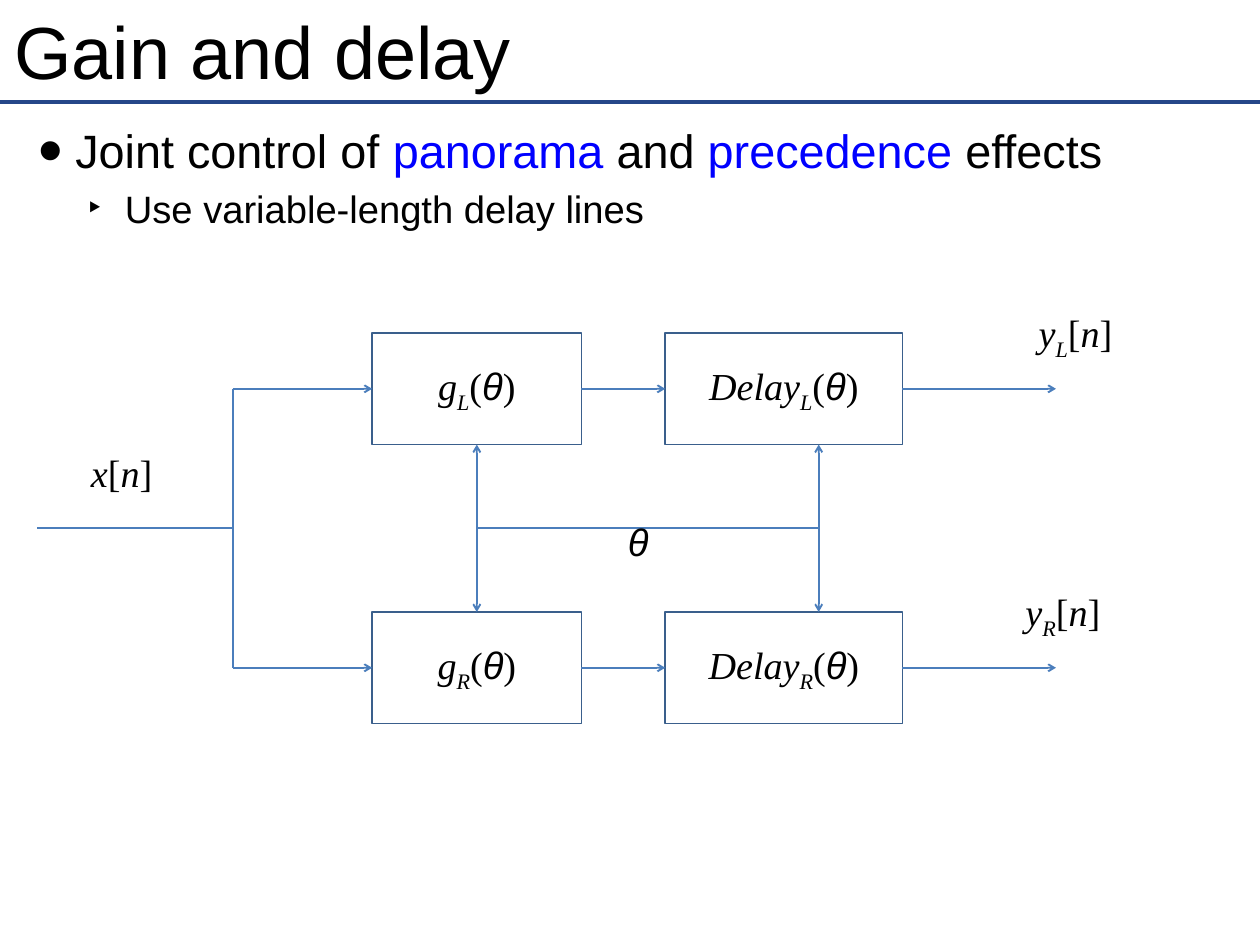
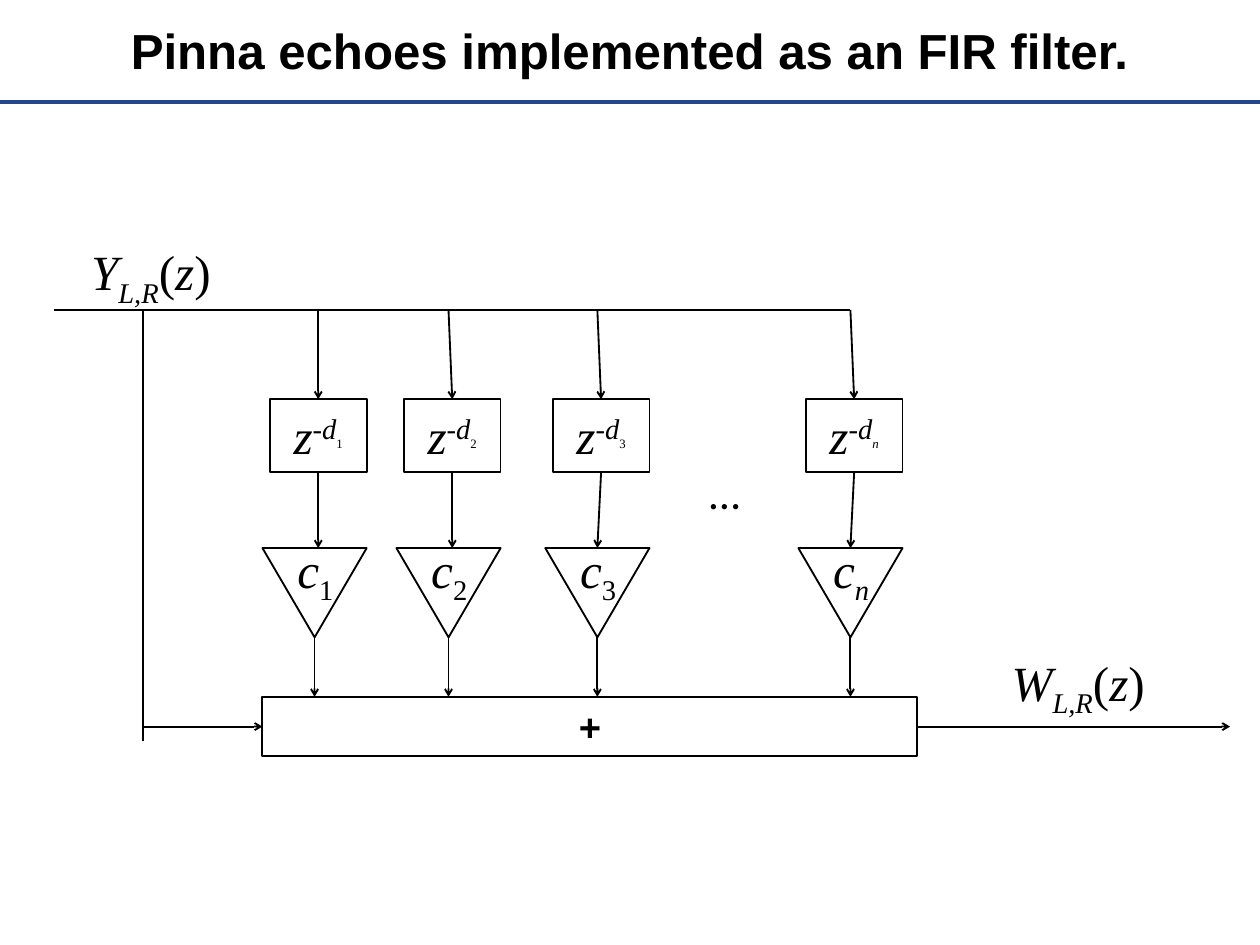
"""Build two slides of block diagrams: gain and delay, and an FIR filter of pinna echoes."""
import pptx
import pptx.dml.color
import pptx.enum.shapes
import pptx.enum.text
import pptx.oxml.ns
import pptx.util
from lxml import etree

Inches = pptx.util.Inches
Pt = pptx.util.Pt
RGBColor = pptx.dml.color.RGBColor
MSO_SHAPE = pptx.enum.shapes.MSO_SHAPE
PP_ALIGN = pptx.enum.text.PP_ALIGN
MSO_ANCHOR = pptx.enum.text.MSO_ANCHOR
MSO_AUTO_SIZE = pptx.enum.text.MSO_AUTO_SIZE
qn = pptx.oxml.ns.qn

BLACK = RGBColor(0x00, 0x00, 0x00)
BLUE = RGBColor(0x00, 0x00, 0xFF)
RULE_BLUE = RGBColor(0x25, 0x47, 0x89)
WIRE_BLUE = RGBColor(0x4B, 0x7E, 0xBC)
BLOCK_BLUE = RGBColor(0x3A, 0x5F, 0x8C)
SANS = "Arial"
SERIF = "Times New Roman"
BASELINES = {"_": "-25000", "^": "30000"}


def draw_line(slide, grid, start, end, color, arrows=(), width=1.5):
    """Draw a straight line between two grid points; arrows lists headEnd and tailEnd."""
    left, top, unit = grid
    line = slide.shapes.add_connector(
        pptx.enum.shapes.MSO_CONNECTOR.STRAIGHT,
        Inches(left + start[0] * unit), Inches(top + start[1] * unit),
        Inches(left + end[0] * unit), Inches(top + end[1] * unit))
    line.line.color.rgb = color
    line.line.width = Pt(width)
    for arrow in arrows:
        etree.SubElement(line.line._get_or_add_ln(), qn("a:" + arrow)).set("type", "arrow")
    etree.SubElement(line.element.spPr, qn("a:effectLst"))
    return line


def draw_block(slide, grid, at, runs, size, inset, preset=None, color=BLACK,
               anchor=MSO_ANCHOR.TOP):
    """Draw an outlined shape or a text box; styles are i italic, b bold, s small, a sans, c Calibri, _ and ^."""
    left, top, unit = grid
    box = (Inches(left + at[0] * unit), Inches(top + at[1] * unit),
           Inches(at[2] * unit), Inches(at[3] * unit))
    if preset is None:
        shape = slide.shapes.add_textbox(*box)
    else:
        shape = slide.shapes.add_shape(preset, *box)
        shape.shadow.inherit = False
        shape.fill.background()
        shape.line.color.rgb = color
        shape.line.width = Pt(1.5)
    frame = shape.text_frame
    frame.vertical_anchor = anchor
    frame.margin_left = frame.margin_right = Inches(2 * inset)
    frame.margin_top = frame.margin_bottom = Inches(inset)
    paragraph = frame.paragraphs[0]
    paragraph.alignment = PP_ALIGN.CENTER
    for text, style in runs:
        run = paragraph.add_run()
        run.text = text
        run.font.name = SANS if "a" in style else "Calibri" if "c" in style else SERIF
        run.font.size = Pt(18 if "s" in style else size)
        run.font.italic = "i" in style
        run.font.bold = "b" in style
        run.font.color.rgb = BLACK
        for mark, baseline in BASELINES.items():
            if mark in style:
                run._r.get_or_add_rPr().set("baseline", baseline)
    return shape


presentation = pptx.Presentation()
presentation.slide_width = Inches(14.22)
presentation.slide_height = Inches(10.67)
master = presentation.slide_master

for placeholder, top, height in zip(master.placeholders, (0.06, 1.32), (1.01, 9.27)):
    placeholder.left, placeholder.top = Inches(0.1), Inches(top)
    placeholder.width, placeholder.height = Inches(14.01), Inches(height)
    frame = placeholder.text_frame
    frame.auto_size = MSO_AUTO_SIZE.NONE
    frame.margin_left = frame.margin_right = Inches(0.06)
    frame.margin_top = frame.margin_bottom = Inches(0.06)

gain_slide = presentation.slides.add_slide(presentation.slide_layouts[1])
echo_slide = presentation.slides.add_slide(presentation.slide_layouts[5])

rule = draw_line(gain_slide, (0, 1.15, 14.22), (0, 0), (1, 0), RULE_BLUE, width=3)
rule.element.nvCxnSpPr.cNvPr.id = 20
master.shapes.element.append(rule.element)

for slide, title, size, alignment, bold in (
        (gain_slide, "Gain and delay", 60, PP_ALIGN.LEFT, False),
        (echo_slide, "Pinna echoes implemented as an FIR filter.", 40, PP_ALIGN.CENTER, True)):
    frame = slide.shapes.title.text_frame
    frame.vertical_anchor = MSO_ANCHOR.MIDDLE
    paragraph = frame.paragraphs[0]
    paragraph.alignment = alignment
    run = paragraph.add_run()
    run.text = title
    run.font.name = SANS
    run.font.size = Pt(size)
    run.font.bold = bold
    run.font.color.rgb = BLACK

bullets = (
    (38, 0.69, "•", 150, 0, (("Joint control of ", BLACK), ("panorama", BLUE), (" and ", BLACK),
                             ("precedence", BLUE), (" effects", BLACK))),
    (31, 1.25, "‣", 100, 6, (("Use variable-length delay lines", BLACK),)),
)
body = gain_slide.placeholders[1].text_frame
for level, (size, indent, bullet, percent, space, runs) in enumerate(bullets):
    paragraph = body.add_paragraph() if level else body.paragraphs[0]
    paragraph.level = level
    properties = paragraph._p.get_or_add_pPr()
    properties.set("marL", str(Inches(indent)))
    properties.set("indent", str(Inches(-0.42)))
    etree.SubElement(properties, qn("a:buSzPct")).set("val", str(percent * 1000))
    etree.SubElement(properties, qn("a:buChar")).set("char", bullet)
    paragraph.space_before = Pt(space)
    for text, color in runs:
        run = paragraph.add_run()
        run.text = text
        run.font.name = SANS
        run.font.size = Pt(size)
        run.font.color.rgb = color

gain_grid = (0.42, 3.76, 0.63 / 4)
tail = ("tailEnd",)
both_ends = ("headEnd", "tailEnd")
gain_blocks = {}
for side, row, label_column in (("L", 0, 71), ("R", 20, 70.1)):
    middle = row + 4
    gain, delay = [
        draw_block(gain_slide, gain_grid, (column, row, width, 8),
                   ((name, "i"), (side, "i_"), ("(", ""), ("θ", "ia"), (")", "")),
                   31, 0.05, MSO_SHAPE.RECTANGLE, BLOCK_BLUE, MSO_ANCHOR.MIDDLE)
        for name, column, width in (("g", 24, 15), ("Delay", 45, 17))]
    gain_blocks[side] = gain
    for source, start, target, end in ((None, 14, gain, 24), (gain, 39, delay, 45),
                                       (delay, 62, None, 73)):
        wire = draw_line(gain_slide, gain_grid, (start, middle), (end, middle), WIRE_BLUE, tail)
        if source:
            wire.begin_connect(source, 3)
        if target:
            wire.end_connect(target, 1)
    draw_block(gain_slide, gain_grid, (label_column, row - 2, 6.8, 4),
               (("y", "i"), (side, "i_"), ("[", ""), ("n", "i"), ("]", "")), 31, 0.05)

for start, end in (((14, 4), (14, 24)), ((0, 14), (14, 14)), ((31.5, 14), (56, 14))):
    draw_line(gain_slide, gain_grid, start, end, WIRE_BLUE)
control = draw_line(gain_slide, gain_grid, (31.5, 20), (31.5, 8), WIRE_BLUE, both_ends)
control.begin_connect(gain_blocks["R"], 0)
control.end_connect(gain_blocks["L"], 2)
draw_line(gain_slide, gain_grid, (56, 20), (56, 8), WIRE_BLUE, both_ends)
draw_block(gain_slide, gain_grid, (3.2, 8, 5.7, 4),
           (("x", "i"), ("[", ""), ("n", "i"), ("]", "")), 31, 0.05)
draw_block(gain_slide, gain_grid, (41.7, 13, 2.7, 4), (("θ", "ia"),), 31, 0.05)

echo_grid = (0.61, 3.5, 0.84 / 5)
adder = draw_block(echo_slide, echo_grid, (14, 26, 44, 4), (("+", "ab"),), 31, 0.07,
                   MSO_SHAPE.RECTANGLE)
for index, column, tap_offset, gain_offset in (
        ("1", 14, 3.75, 3.75), ("2", 23, 3.5, 3.75), ("3", 33, 3.5, 3.5), ("n", 50, 3.5, 3.5)):
    slant = "i" if index == "n" else ""
    triangle = draw_block(echo_slide, echo_grid, (column, 16, 7, 6), (), 40, 0.07,
                          MSO_SHAPE.ISOSCELES_TRIANGLE)
    triangle.rotation = 180
    delay = draw_block(echo_slide, echo_grid, (column + 0.5, 6, 6.5, 4.9),
                       (("z", "i"), ("-d", "i^"), (index, slant + "^s")), 40, 0.07,
                       MSO_SHAPE.RECTANGLE)
    draw_block(echo_slide, echo_grid, (column + 1.4, 15, 4.3, 4.9),
               (("c", "i"), (index, slant + "_")), 40, 0.07)
    center = column + 3.75
    tap = draw_line(echo_slide, echo_grid, (column + tap_offset, 0), (center, 6), BLACK, tail)
    tap.end_connect(delay, 0)
    drop = draw_line(echo_slide, echo_grid, (center, 10.9), (column + gain_offset, 16), BLACK, tail)
    drop.begin_connect(delay, 2)
    draw_line(echo_slide, echo_grid, (column + 3.5, 22), (column + 3.5, 26), BLACK, tail)

draw_line(echo_slide, echo_grid, (0, 0), (53.5, 0), BLACK)
draw_line(echo_slide, echo_grid, (6, 0), (6, 29), BLACK)
draw_line(echo_slide, echo_grid, (6, 28), (14, 28), BLACK, tail).end_connect(adder, 1)
draw_line(echo_slide, echo_grid, (58, 28), (79, 28), BLACK, tail).begin_connect(adder, 3)
draw_block(echo_slide, echo_grid, (42.7, 10, 4.7, 4.5), (("…", "c"),), 36, 0.07)
for name, column, row, width in (("Y", 1.4, -5, 10.2), ("W", 63.2, 22.6, 11.2)):
    draw_block(echo_slide, echo_grid, (column, row, width, 4.9),
               ((name, "i"), ("L,R", "i_"), ("(", ""), ("z", "i"), (")", "")), 40, 0.07)

presentation.save("out.pptx")
